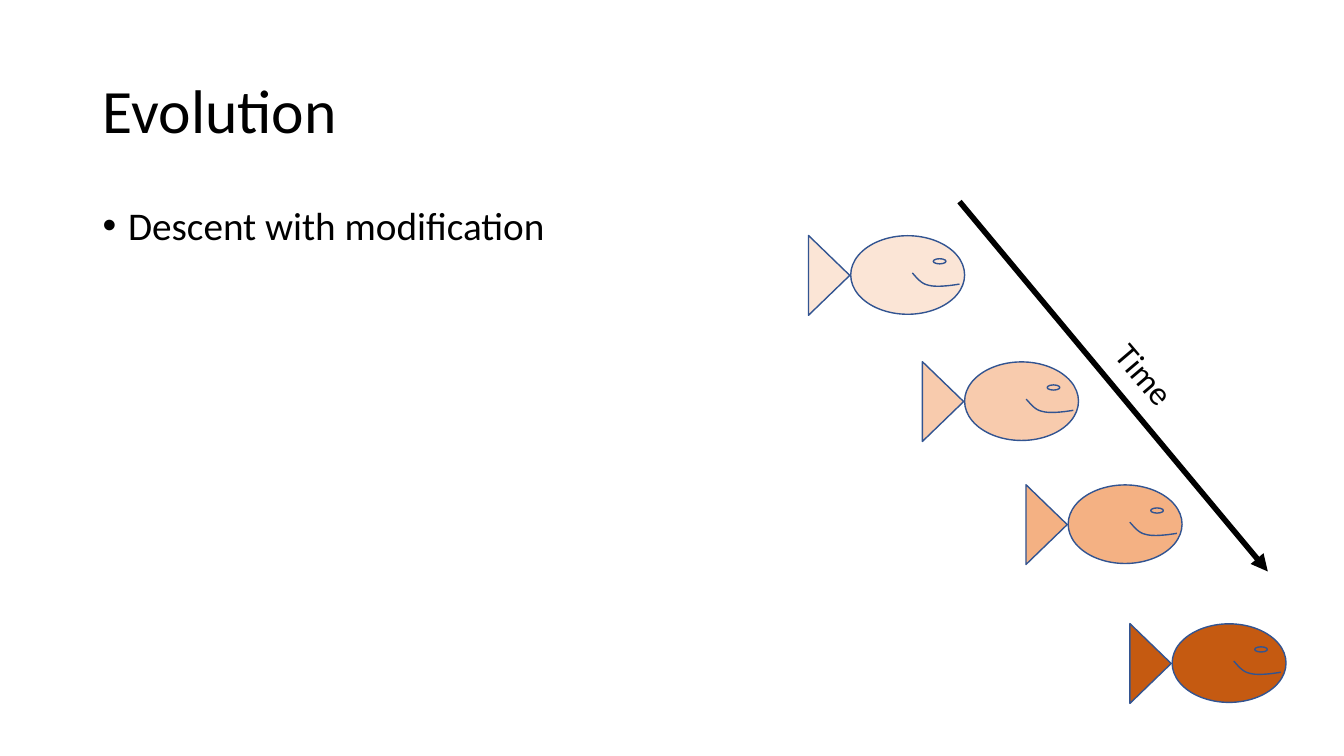
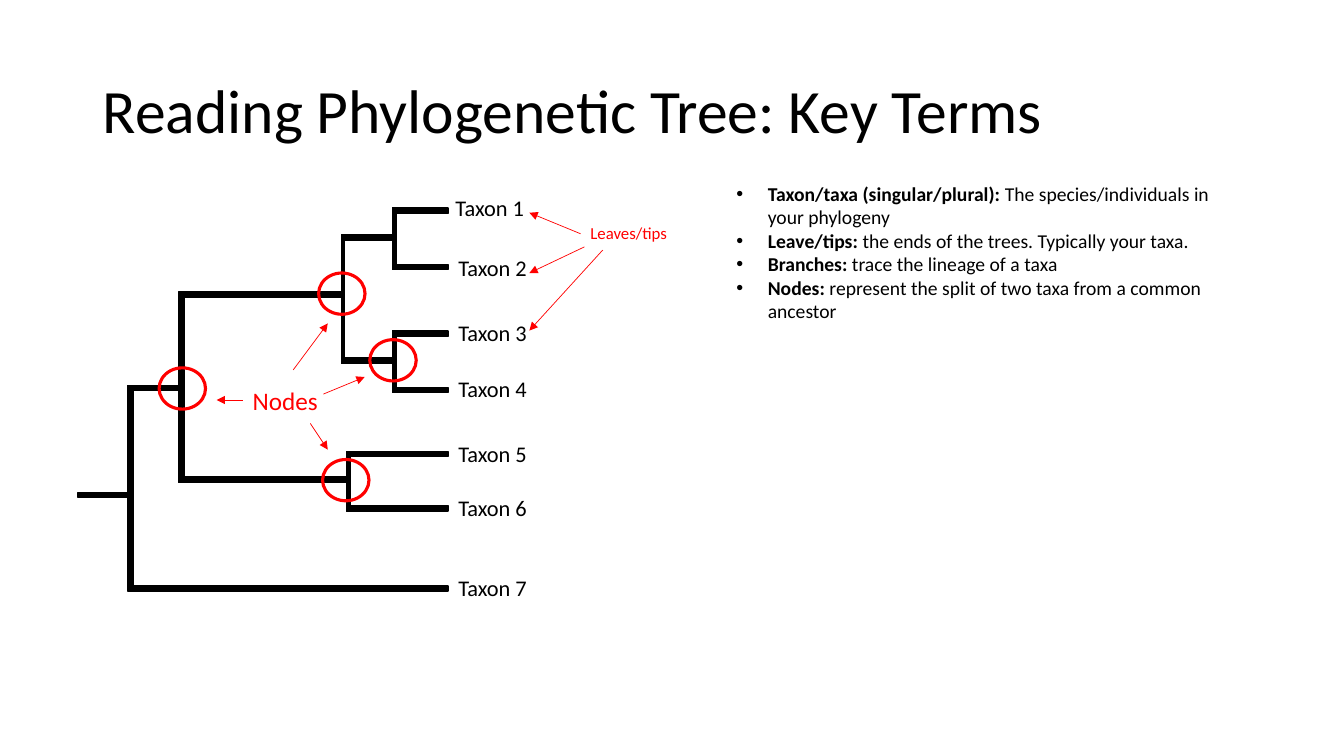
from dataclasses import dataclass
from typing import Optional, Union

from lxml.etree import SubElement
from pptx import Presentation
from pptx.dml.color import RGBColor
from pptx.enum.shapes import MSO_CONNECTOR as Connector, MSO_SHAPE as Preset
from pptx.enum.text import MSO_ANCHOR as Anchor, PP_ALIGN as Align
from pptx.oxml.ns import qn
from pptx.util import Cm, Pt

# Shared style
FONT = "Calibri"
BLACK, RED, FISH_LINE = "000000", "FF0000", "325491"
TITLE_BOX = (2.34, 1.02, 29.21, 3.68)

Point = tuple[float, float]
Box = tuple[float, float, float, float]


@dataclass(frozen=True)
class Fish:
    left: float
    top: float
    color: str


@dataclass(frozen=True)
class Tip:
    name: str
    y: float
    label_top: float
    label_left: float = 11.3


@dataclass(frozen=True)
class Clade:
    y: float
    split_x: float
    width: float
    branches: tuple[Union["Clade", Tip], ...]


@dataclass(frozen=True)
class Pointer:
    start: Point
    end: Point


# Content, lengths in centimetres
FISHES = (
    Fish(21.44, 5.94, "FBE5D6"),
    Fish(24.31, 9.12, "F8CBAD"),
    Fish(26.92, 12.22, "F4B183"),
    Fish(29.54, 15.72, "C55A11"),
)
# Mouth: start, then two Bezier segments, measured from the fish's body
MOUTH_START = (2.74, 1.22)
MOUTH_CURVES = (
    ((2.44, 1.27), (2.11, 1.30), (1.93, 1.24)),
    ((1.73, 1.19), (1.60, 0.97), (1.55, 0.94)),
)
MOUTH_STEPS = 12

ROOT_X, TIP_X, BRANCH_WIDTH = 1.97, 11.29, 0.13
TREE = Clade(12.47, 3.29, 0.13, (
    Clade(9.78, 4.58, 0.13, (
        Clade(7.42, 8.65, 0.08, (
            Clade(5.99, 9.94, 0.08, (
                Tip("Taxon 1", 5.31, 4.78, 11.23),
                Tip("Taxon 2", 6.73, 6.27),
            )),
            Clade(9.09, 9.94, 0.08, (
                Tip("Taxon 3", 8.41, 7.92),
                Tip("Taxon 4", 9.83, 9.32),
            )),
        )),
        Clade(12.09, 8.78, 0.08, (
            Tip("Taxon 5", 11.44, 10.97),
            Tip("Taxon 6", 12.81, 12.32),
        )),
    )),
    Tip("Taxon 7", 14.83, 14.35),
))
NODE_RINGS = ((8.03, 6.88), (9.32, 8.56), (8.13, 11.58), (4.01, 9.27))
POINTERS = (
    # Leaves
    Pointer((14.63, 5.89), (13.34, 5.36)),
    Pointer((14.73, 6.22), (13.34, 6.88)),
    Pointer((15.19, 6.30), (13.34, 8.33)),
    # Nodes
    Pointer((7.39, 9.32), (8.26, 8.15)),
    Pointer((8.15, 9.93), (9.19, 9.50)),
    Pointer((7.82, 10.67), (8.26, 11.33)),
    Pointer((6.12, 10.08), (5.46, 10.08)),
)
KEY_TERMS = (
    ("Taxon/taxa (singular/plural): ", "The species/individuals in your phylogeny"),
    ("Leave/tips: ", "the ends of the trees. Typically your taxa."),
    ("Branches:", " trace the lineage of a taxa"),
    ("Nodes:", " represent the split of two taxa from a common ancestor"),
)


def rgb(color: str) -> RGBColor:
    return RGBColor.from_string(color)


def add_run(paragraph, text: str, size: float, color: str = BLACK, bold: bool = False):
    run = paragraph.add_run()
    run.text = text
    font = run.font
    font.name, font.size, font.bold = FONT, Pt(size), bold
    font.color.rgb = rgb(color)


def add_bullet(paragraph, indent: float):
    properties = paragraph._p.get_or_add_pPr()
    properties.set("marL", str(Cm(indent)))
    properties.set("indent", str(-Cm(indent)))
    SubElement(properties, qn("a:buFont"), typeface="Arial")
    SubElement(properties, qn("a:buChar"), char="•")


def add_frame(slide, box: Box):
    textbox = slide.shapes.add_textbox(*map(Cm, box))
    textbox.text_frame.word_wrap = True
    return textbox


def add_label(slide, box: Box, text: str, size: float, color: str = BLACK):
    label = add_frame(slide, box)
    add_run(label.text_frame.paragraphs[0], text, size, color)
    return label


def add_title(slide, text: str):
    frame = add_label(slide, TITLE_BOX, text, 44).text_frame
    frame.vertical_anchor = Anchor.MIDDLE
    frame.paragraphs[0].line_spacing = 0.9


def style_outline(shape, fill: Optional[str], line: str, width: float):
    shape.shadow.inherit = False
    if fill:
        shape.fill.solid()
        shape.fill.fore_color.rgb = rgb(fill)
    else:
        shape.fill.background()
    shape.line.color.rgb = rgb(line)
    shape.line.width = Pt(width)


def add_preset(shapes, preset, box: Box, fill: Optional[str], line: str, width: float = 1):
    shape = shapes.add_shape(preset, *map(Cm, box))
    style_outline(shape, fill, line, width)
    return shape


def add_arrow(slide, pointer: Pointer, color: str, width: float):
    arrow = slide.shapes.add_connector(
        Connector.STRAIGHT, *map(Cm, pointer.start + pointer.end))
    arrow.line.color.rgb = rgb(color)
    arrow.line.width = Pt(width)
    SubElement(arrow.line._get_or_add_ln(), qn("a:tailEnd"), type="triangle")
    SubElement(arrow._element.spPr, qn("a:effectLst"))


def mouth_points() -> list[Point]:
    points = [MOUTH_START]
    for curve in MOUTH_CURVES:
        controls = (points[-1],) + curve
        for step in range(1, MOUTH_STEPS + 1):
            t = step / MOUTH_STEPS
            weights = ((1 - t) ** 3, 3 * t * (1 - t) ** 2, 3 * t * t * (1 - t), t ** 3)
            x, y = (sum(w * c[axis] for w, c in zip(weights, controls)) for axis in (0, 1))
            points.append((x, y))
    return points


def draw_fish(slide, fish: Fish):
    parts = slide.shapes.add_group_shape().shapes
    left, top = fish.left, fish.top
    add_preset(parts, Preset.OVAL, (left, top, 2.87, 1.98), fish.color, FISH_LINE)
    tail = add_preset(parts, Preset.ISOSCELES_TRIANGLE,
                      (left - 1.55, top + 0.48, 2.01, 1.04), fish.color, FISH_LINE)
    tail.rotation = 90
    start, *rest = [(Cm(left + x), Cm(top + y)) for x, y in mouth_points()]
    outline = parts.build_freeform(*start)
    outline.add_line_segments(rest, close=False)
    style_outline(outline.convert_to_shape(), None, FISH_LINE, 1)
    add_preset(parts, Preset.OVAL, (left + 2.08, top + 0.58, 0.32, 0.13),
               fish.color, FISH_LINE)


def draw_bar(slide, box: Box):
    add_preset(slide.shapes, Preset.RECTANGLE, box, BLACK, BLACK)


def draw_branch(slide, branch: Union[Clade, Tip], start_x: float):
    """Draw a branch from its parent's split, then all that descends from it."""
    top = branch.y - BRANCH_WIDTH / 2
    if isinstance(branch, Tip):
        draw_bar(slide, (start_x, top, TIP_X - start_x, BRANCH_WIDTH))
        add_label(slide, (branch.label_left, branch.label_top, 2.67, 0.94), branch.name, 16)
        return
    draw_bar(slide, (start_x, top, branch.split_x - start_x, BRANCH_WIDTH))
    first, last = branch.branches[0].y, branch.branches[-1].y
    split_left = branch.split_x - branch.width / 2
    draw_bar(slide, (split_left, first - BRANCH_WIDTH / 2,
                     branch.width, last - first + BRANCH_WIDTH))
    for child in branch.branches:
        draw_branch(slide, child, split_left)


def build_evolution(slide):
    add_title(slide, "Evolution")
    body = add_frame(slide, (2.34, 5.08, 17.88, 12.09))
    descent = body.text_frame.paragraphs[0]
    add_bullet(descent, 0.64)
    descent.line_spacing = 0.9
    add_run(descent, "Descent with modification", 28)

    for fish in FISHES:
        draw_fish(slide, fish)

    # Time axis
    add_arrow(slide, Pointer((24.18, 5.08), (31.95, 14.4)), BLACK, 4)
    time = add_label(slide, (25.15, 8.79, 7.42, 1.27), "Time", 24)
    time.text_frame.paragraphs[0].alignment = Align.CENTER
    time.rotation = 49.7


def build_key_terms(slide):
    add_title(slide, "Reading Phylogenetic Tree: Key Terms")
    draw_branch(slide, TREE, ROOT_X)

    # Definitions
    frame = add_frame(slide, (18.31, 4.45, 12.7, 4.45)).text_frame
    for index, (term, meaning) in enumerate(KEY_TERMS):
        definition = frame.add_paragraph() if index else frame.paragraphs[0]
        add_bullet(definition, 0.79)
        add_run(definition, term, 14, bold=True)
        add_run(definition, meaning, 14)

    # Red annotations
    add_label(slide, (14.63, 5.49, 3.89, 0.76), "Leaves/tips", 12, RED)
    add_label(slide, (6.12, 9.58, 2.49, 1.02), "Nodes", 18, RED)
    for left, top in NODE_RINGS:
        add_preset(slide.shapes, Preset.OVAL, (left, top, 1.17, 1.04), None, RED, 2.25)
    for pointer in POINTERS:
        add_arrow(slide, pointer, RED, 0.5)


def main():
    deck = Presentation()
    deck.slide_width, deck.slide_height = Cm(33.87), Cm(19.05)
    blank = deck.slide_layouts[6]
    for build in (build_evolution, build_key_terms):
        build(deck.slides.add_slide(blank))
    deck.save("out.pptx")


if __name__ == "__main__":
    main()
